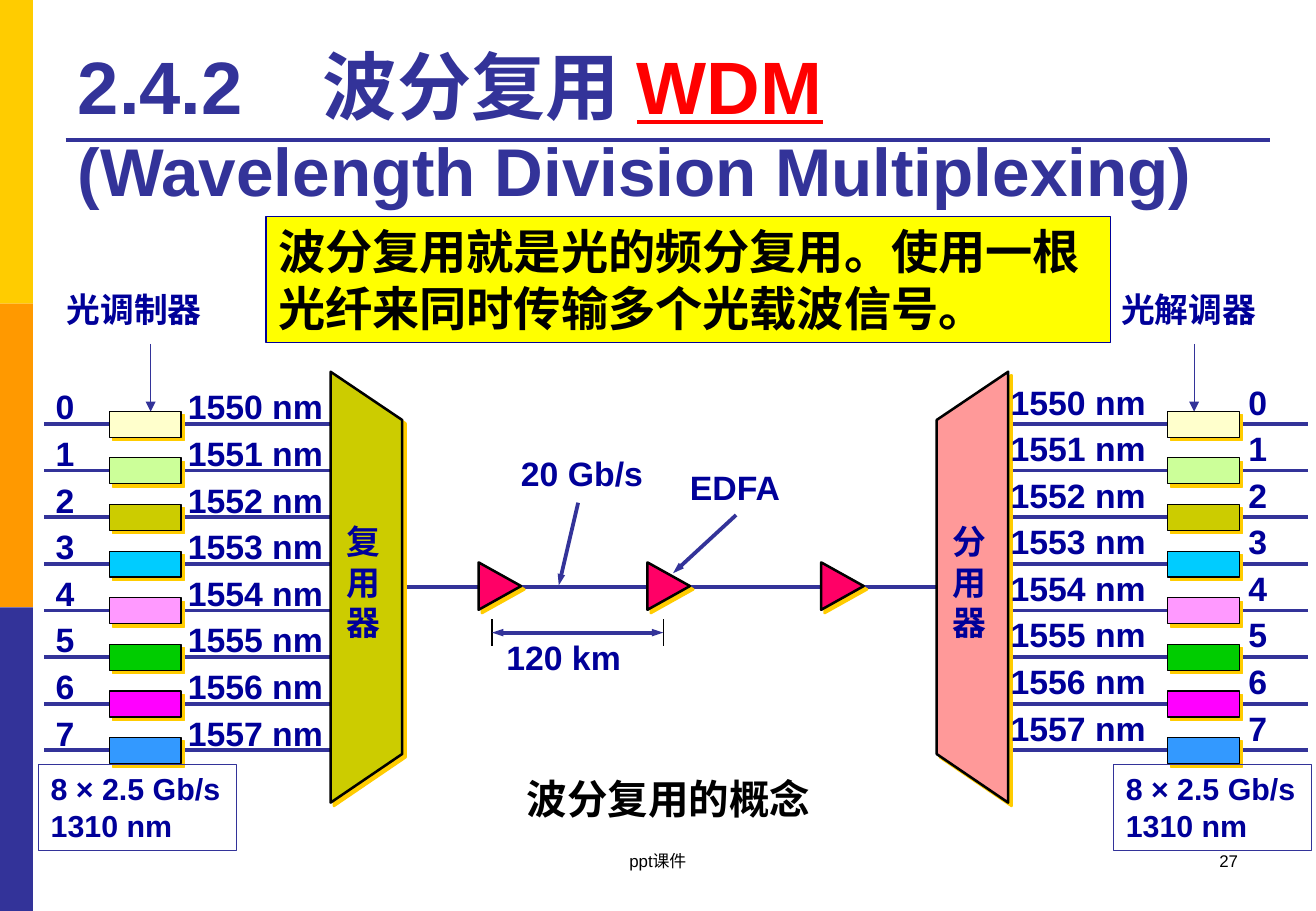
from pptx import Presentation
from pptx.dml.color import RGBColor
from pptx.enum.shapes import MSO_CONNECTOR, MSO_SHAPE
from pptx.enum.text import MSO_ANCHOR, MSO_AUTO_SIZE, PP_ALIGN
from pptx.oxml.ns import qn
from pptx.util import Pt
from lxml.etree import SubElement


class Theme:
    font = "Arial"
    navy, blue, black, red = "000099", "333399", "000000", "FF0000"
    gold, orange, yellow = "FFCC00", "FF9900", "FFFF00"
    mux, demux, amp = "CCCC00", "FF9999", "FF0066"
    waves = ["FFFFCC", "CCFF99", "CCCC00", "00CCFF",
             "FF99FF", "00CC00", "FF00FF", "3399FF"]
    head, sub, note, cap, label, rate, foot = 44, 40, 28, 24, 20, 18, 10


def paint(shape, fill, line=None, width=0.75):
    shape.shadow.inherit = False
    if fill:
        shape.fill.solid()
        shape.fill.fore_color.rgb = RGBColor.from_string(fill)
    else:
        shape.fill.background()
    if line:
        shape.line.color.rgb = RGBColor.from_string(line)
        shape.line.width = Pt(width)
    else:
        shape.line.fill.background()


def write(shape, rows, size, color, align=PP_ALIGN.LEFT, bold=True, tab=None):
    frame = shape.text_frame
    frame.word_wrap = shape.width > Pt(110)
    frame.vertical_anchor = MSO_ANCHOR.TOP
    frame.text = "\n".join(rows)
    for para in frame.paragraphs:
        para.alignment = align
        if tab:
            para.line_spacing = 1.15
            tabs = SubElement(para._p.get_or_add_pPr(), qn("a:tabLst"))
            SubElement(tabs, qn("a:tab"), pos=str(Pt(tab)), algn="l")
        para.font.name = Theme.font
        para.font.size = Pt(size)
        para.font.bold = bold
        para.font.color.rgb = RGBColor.from_string(color)


deck = Presentation()
deck.slide_width, deck.slide_height = Pt(780), Pt(540)
slide = deck.slides.add_slide(deck.slide_layouts[5])
shapes = slide.shapes

for i, color in enumerate([Theme.gold, Theme.orange, Theme.blue]):
    bar = shapes.add_shape(MSO_SHAPE.RECTANGLE, 0, Pt(180 * i), Pt(19.5), Pt(180))
    paint(bar, color)

title = shapes.title
title.left, title.top, title.width, title.height = Pt(38.9), Pt(15), Pt(713.5), Pt(113)
frame = title.text_frame
frame.auto_size = MSO_AUTO_SIZE.NONE
frame.vertical_anchor = MSO_ANCHOR.BOTTOM
para = frame.paragraphs[0]
para.alignment = PP_ALIGN.LEFT
tabs = SubElement(para._p.get_or_add_pPr(), qn("a:tabLst"))
SubElement(tabs, qn("a:tab"), pos=str(Pt(145.3)), algn="l")
para.font.name = Theme.font
para.font.bold = True
for text, size, color in [("2.4.2\t波分复用 ", Theme.head, Theme.blue),
                          ("WDM", Theme.head, Theme.red),
                          ("(Wavelength Division Multiplexing)", Theme.sub, Theme.blue)]:
    if size == Theme.sub:
        para.add_line_break()
    run = para.add_run()
    run.text = text
    run.font.size = Pt(size)
    run.font.color.rgb = RGBColor.from_string(color)
    run.font.underline = color == Theme.red

first, pitch = 251.25, 27.65
levels = [first + pitch * i for i in range(len(Theme.waves))]
lines = [(x, y, x + 178, y, Theme.blue, 2.25, "")
         for x in (26.2, 597.5) for y in levels]
lines += [
    (38.9, 82.8, 752.6, 82.8, Theme.blue, 2.25, ""),
    (209, 348, 592.5, 348, Theme.blue, 2.25, ""),
    (342.7, 298, 331.2, 347, Theme.blue, 2.25, "tail"),
    (436.3, 305.3, 398.9, 339.8, Theme.blue, 2.25, "tail"),
    (291.6, 367.2, 291.6, 383, Theme.black, 0.75, ""),
    (393.1, 367.2, 393.1, 383, Theme.black, 0.75, ""),
    (291.6, 375, 393.1, 375, Theme.blue, 2.25, "head tail"),
    (89.3, 203.8, 89.3, 244, Theme.blue, 0.75, "tail"),
    (707.8, 203.8, 707.8, 244, Theme.blue, 0.75, "tail"),
]
for x, y, end, low, color, width, tips in lines:
    wire = shapes.add_connector(MSO_CONNECTOR.STRAIGHT, Pt(x), Pt(y), Pt(end), Pt(low))
    wire.line.color.rgb = RGBColor.from_string(color)
    wire.line.width = Pt(width)
    props = wire._element.spPr
    for tip in tips.split():
        SubElement(props.find(qn("a:ln")), qn(f"a:{tip}End"), type="triangle",
                   w="sm" if width > 1 else "med")
    SubElement(props, qn("a:effectLst"))

parts = []
for x in (64.8, 692):
    for y, color in zip(levels, Theme.waves):
        box = shapes.add_shape(MSO_SHAPE.RECTANGLE, Pt(x), Pt(y - 7.5), Pt(42.5), Pt(15.4))
        paint(box, color, Theme.black)
        parts.append(box)
for x in (282.2, 382.3, 485.3):
    amp = shapes.add_shape(MSO_SHAPE.ISOSCELES_TRIANGLE, Pt(x), Pt(334.8), Pt(28.1), Pt(25.2))
    amp.rotation = 90
    paint(amp, Theme.amp, Theme.black, 1.5)
    parts.append(amp)
for tall, short, color in [(196, 238.4, Theme.mux), (597.6, 555.2, Theme.demux)]:
    build = shapes.build_freeform(Pt(tall), Pt(475.8))
    build.add_line_segments([(Pt(short), Pt(447)), (Pt(short), Pt(249)),
                             (Pt(tall), Pt(220.4))], close=True)
    block = build.convert_to_shape()
    paint(block, color, Theme.black, 1.5)
    parts.append(block)
for part in parts:
    effect = part._element.spPr.find(qn("a:effectLst"))
    shade = SubElement(effect, qn("a:outerShdw"), dist=str(Pt(2.8)),
                       dir="2700000", algn="ctr", rotWithShape="0")
    SubElement(shade, qn("a:srgbClr"), val=Theme.gold)

rate = ["8 × 2.5 Gb/s", "1310 nm"]
panels = [
    (157.7, 128.2, 500.4, 74.9, Theme.yellow, Theme.navy, Theme.note, Theme.black,
     ["波分复用就是光的频分复用。使用一根光纤来同时传输多个光载波信号。"]),
    (23, 453, 117.4, 51.1, None, Theme.blue, Theme.rate, Theme.navy, rate),
    (660.2, 453, 117.4, 51.1, None, Theme.blue, Theme.rate, Theme.navy, rate),
]
for x, y, w, h, fill, edge, size, color, rows in panels:
    panel = shapes.add_shape(MSO_SHAPE.RECTANGLE, Pt(x), Pt(y), Pt(w), Pt(h))
    paint(panel, fill, edge)
    write(panel, rows, size, color)

count = range(len(Theme.waves))
for x, y, w, tab, rows in [
    (25.9, 221.8, 195, 78.3, [f"{i}\t{1550 + i} nm" for i in count]),
    (591.9, 218.9, 178, 141, [f"{1550 + i} nm\t{i}" for i in count]),
]:
    column = shapes.add_textbox(Pt(x), Pt(y), Pt(w), Pt(230))
    write(column, rows, Theme.label, Theme.navy, tab=tab)

for x, y, w, h, rows in [
    (301.7, 265, 87.1, 31.7, ["20 Gb/s"]),
    (401.8, 272.9, 68.4, 31.7, ["EDFA"]),
    (293, 373.7, 82.8, 31.7, ["120 km"]),
    (32.4, 167.8, 95.8, 31.7, ["光调制器"]),
    (657.4, 167.8, 95.8, 31.7, ["光解调器"]),
    (198, 305.3, 34.6, 80, list("复用器")),
    (557.3, 305.3, 34.6, 80, list("分用器")),
]:
    label = shapes.add_textbox(Pt(x), Pt(y), Pt(w), Pt(h))
    write(label, rows, Theme.label, Theme.navy)

for x, y, w, text, size, align, bold in [
    (238.3, 455, 316, "波分复用的概念", Theme.cap, PP_ALIGN.CENTER, True),
    (266.4, 500.4, 247, "ppt课件", Theme.foot, PP_ALIGN.CENTER, False),
    (558.7, 500.4, 182.2, "27", Theme.foot, PP_ALIGN.RIGHT, False),
]:
    note = shapes.add_textbox(Pt(x), Pt(y), Pt(w), Pt(36))
    write(note, [text], size, Theme.black, align, bold)

deck.save("out.pptx")
